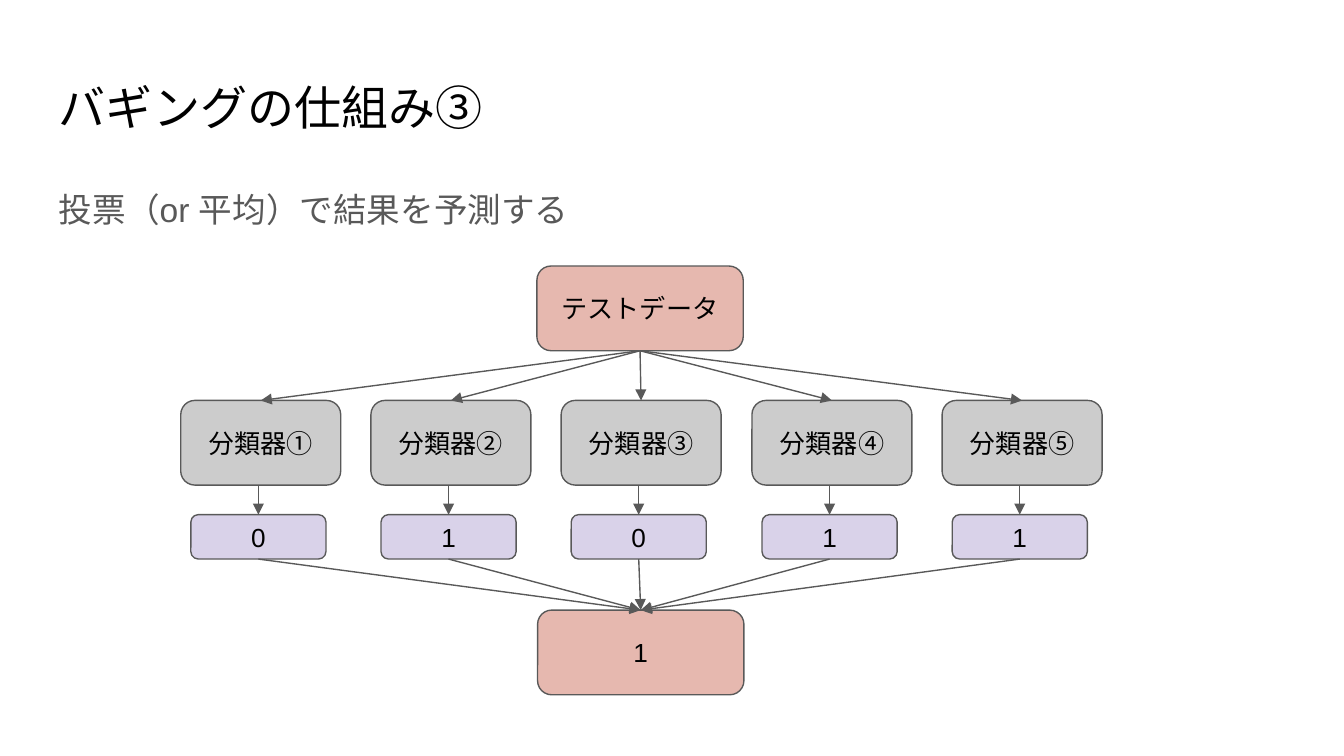
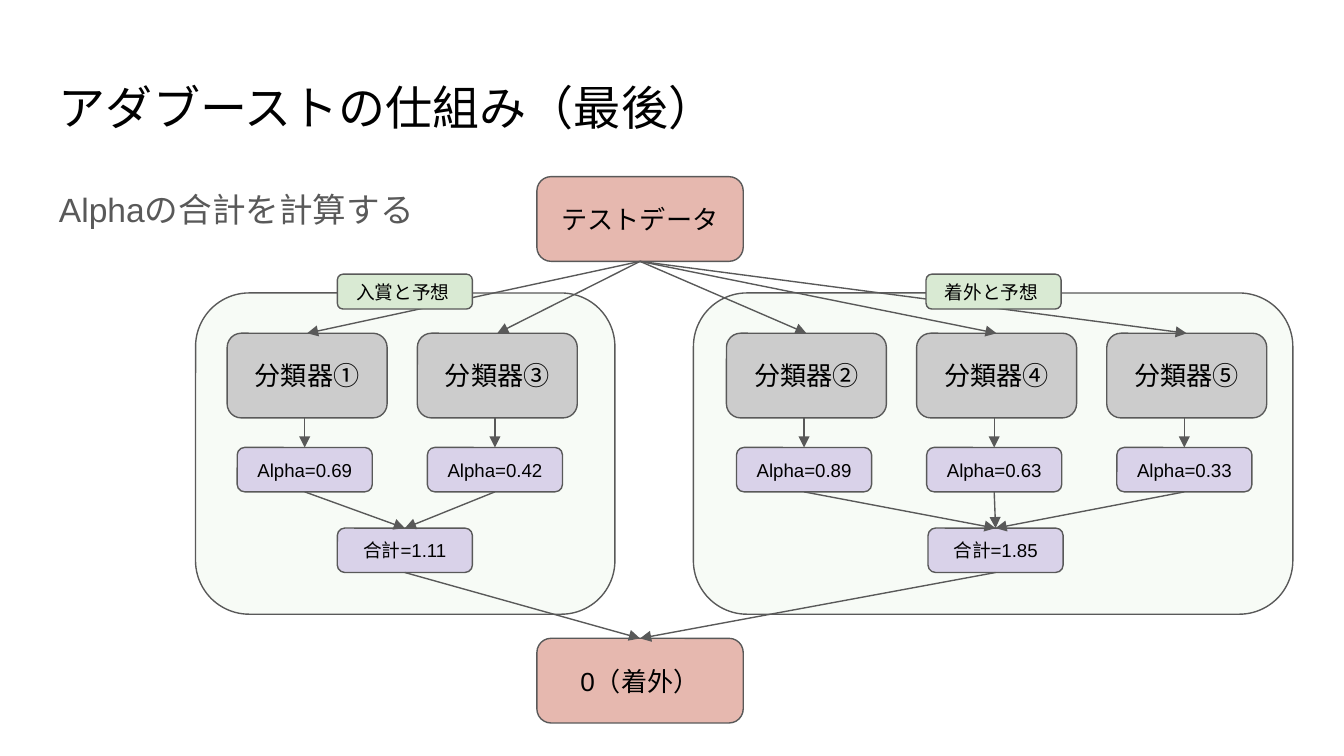
from dataclasses import dataclass

from lxml.etree import SubElement
from pptx import Presentation
from pptx.dml.color import RGBColor
from pptx.enum.shapes import MSO_CONNECTOR as Connector, MSO_SHAPE as Shape
from pptx.enum.text import MSO_ANCHOR as Anchor, PP_ALIGN as Align
from pptx.oxml.ns import qn
from pptx.util import Pt

PX = 4572  # EMU per px, 200 px to the inch
TOP, BOTTOM = 0, 2  # connection sites


@dataclass(frozen=True)
class Theme:
    font: str = "Arial"
    ink: str = "000000"
    grey: str = "595959"
    data: str = "E6B8AF"
    classifier: str = "CCCCCC"
    vote: str = "D9D2E9"
    tag: str = "D9EAD3"
    title_size: float = 25.2
    body_size: float = 18
    box_size: float = 14
    small_size: float = 10
    line_width: float = 0.75
    panel_alpha: int = 19


THEME = Theme()

# Box sizes shared by both diagrams
DATA_SIZE = (307, 126)
CLASSIFIER_SIZE = (238, 126)
VOTE_SIZE = (201, 66)
TAG_SIZE = (201, 52)
VOTE_OFFSET = (15, 170)  # vote box from its classifier's corner


@dataclass(frozen=True)
class Panel:
    box: tuple
    tag: str
    total: str
    classifiers: tuple  # (name, alpha) pairs
    row_x: int
    row_span: int
    tag_x: int
    total_x: int


PANELS = (
    Panel((1032, 436, 892, 478), "着外と予想 ", "合計=1.85",
          (("分類器②", "Alpha=0.89"), ("分類器④", "Alpha=0.63"), ("分類器⑤", "Alpha=0.33")),
          row_x=49, row_span=566, tag_x=346, total_x=349),
    Panel((291, 436, 624, 478), "入賞と予想 ", "合計=1.11",
          (("分類器①", "Alpha=0.69"), ("分類器③", "Alpha=0.42")),
          row_x=47, row_span=283, tag_x=211, total_x=211),
)
VOTES = (("分類器①", "0"), ("分類器②", "1"), ("分類器③", "0"),
         ("分類器④", "1"), ("分類器⑤", "1"))


def emu(*lengths):
    return [length * PX for length in lengths]


def write(shape, text, size, color):
    frame = shape.text_frame
    frame.word_wrap = True
    frame.margin_left = frame.margin_right = 20 * PX
    frame.margin_top = frame.margin_bottom = 20 * PX
    para = frame.paragraphs[0]
    para.text = text
    for span in para.runs:
        span.font.name = THEME.font
        span.font.size = Pt(size)
        span.font.color.rgb = RGBColor.from_string(color)
    return para


def add_heading(page, title, body):
    """Title and lead sentence."""
    title_box = page.shapes.add_textbox(*emu(68, 97, 1864, 125))
    write(title_box, title, THEME.title_size, THEME.ink)
    body_box = page.shapes.add_textbox(*emu(68, 252, 1864, 748))
    para = write(body_box, body, THEME.body_size, THEME.grey)
    para.line_spacing = 1.15
    para.space_after = Pt(12)


def add_box(shapes, corner, extent, color, text="", size=THEME.box_size):
    box = shapes.add_shape(Shape.ROUNDED_RECTANGLE, *emu(*corner, *extent))
    box.shadow.inherit = False
    box.fill.solid()
    box.fill.fore_color.rgb = RGBColor.from_string(color)
    box.line.color.rgb = RGBColor.from_string(THEME.grey)
    box.line.width = Pt(THEME.line_width)
    if text:
        write(box, text, size, THEME.ink).alignment = Align.CENTER
        box.text_frame.vertical_anchor = Anchor.MIDDLE
    return box


def add_arrow(shapes, source, target, upright=False):
    """Arrow from the source's bottom to the target's top middle."""
    end_x = target.left + target.width // 2
    start_x = end_x if upright else source.left + source.width // 2
    arrow = shapes.add_connector(Connector.STRAIGHT, start_x, source.top + source.height,
                                 end_x, target.top)
    if not upright:
        arrow.begin_connect(source, BOTTOM)
    arrow.end_connect(target, TOP)
    arrow.line.color.rgb = RGBColor.from_string(THEME.grey)
    arrow.line.width = Pt(THEME.line_width)
    SubElement(arrow.line._get_or_add_ln(), qn("a:tailEnd"), type="triangle")
    SubElement(arrow._element.spPr, qn("a:effectLst"))


def add_row(page, left, top, span, pairs, vote_size):
    """Evenly spaced classifiers, each with its vote below."""
    row = []
    for index, (name, vote_text) in enumerate(pairs):
        x = left + round(span * index / (len(pairs) - 1))
        shapes = page.shapes.add_group_shape().shapes
        classifier = add_box(shapes, (x, top), CLASSIFIER_SIZE, THEME.classifier, name)
        vote = add_box(shapes, (x + VOTE_OFFSET[0], top + VOTE_OFFSET[1]), VOTE_SIZE,
                       THEME.vote, vote_text, vote_size)
        add_arrow(shapes, classifier, vote, upright=True)
        row.append((classifier, vote))
    return row


def add_panel_frame(page, panel):
    left, top, width, height = panel.box
    frame = add_box(page.shapes, (left, top), (width, height), THEME.tag)
    color = frame.fill._xPr.find(qn("a:solidFill"))[0]
    SubElement(color, qn("a:alpha"), val=str(THEME.panel_alpha * 1000))


def add_panel_content(page, panel, test_data, result):
    """Classifiers of one camp, their total and the camp's tag."""
    left, top = panel.box[:2]
    row = add_row(page, left + panel.row_x, top + 60, panel.row_span,
                  panel.classifiers, THEME.small_size)
    total = add_box(page.shapes, (left + panel.total_x, top + 350), VOTE_SIZE,
                    THEME.vote, panel.total, THEME.small_size)
    for classifier, alpha in row:
        add_arrow(page.shapes, test_data, classifier)
        add_arrow(page.shapes, alpha, total)
    add_arrow(page.shapes, total, result)
    add_box(page.shapes, (left + panel.tag_x, top - 28), TAG_SIZE,
            THEME.tag, panel.tag, THEME.small_size)


def add_bagging_page(deck):
    page = deck.slides.add_slide(deck.slide_layouts[6])
    add_heading(page, "バギングの仕組み③", "投票（or 平均）で結果を予測する")
    test_data = add_box(page.shapes, (799, 396), DATA_SIZE, THEME.data, "テストデータ")
    result = add_box(page.shapes, (800, 908), DATA_SIZE, THEME.data, "1")
    for classifier, vote in add_row(page, 269, 596, 1133, VOTES, THEME.box_size):
        add_arrow(page.shapes, test_data, classifier)
        add_arrow(page.shapes, vote, result)


def add_boosting_page(deck):
    page = deck.slides.add_slide(deck.slide_layouts[6])
    add_heading(page, "アダブーストの仕組み（最後）", "Alphaの合計を計算する")
    for panel in PANELS:
        add_panel_frame(page, panel)
    test_data = add_box(page.shapes, (799, 263), DATA_SIZE, THEME.data, "テストデータ")
    result = add_box(page.shapes, (799, 950), DATA_SIZE, THEME.data, "0（着外）")
    for panel in PANELS:
        add_panel_content(page, panel, test_data, result)


def main():
    deck = Presentation()
    deck.slide_width, deck.slide_height = emu(2000, 1125)
    add_bagging_page(deck)
    add_boosting_page(deck)
    deck.save("out.pptx")


if __name__ == "__main__":
    main()
